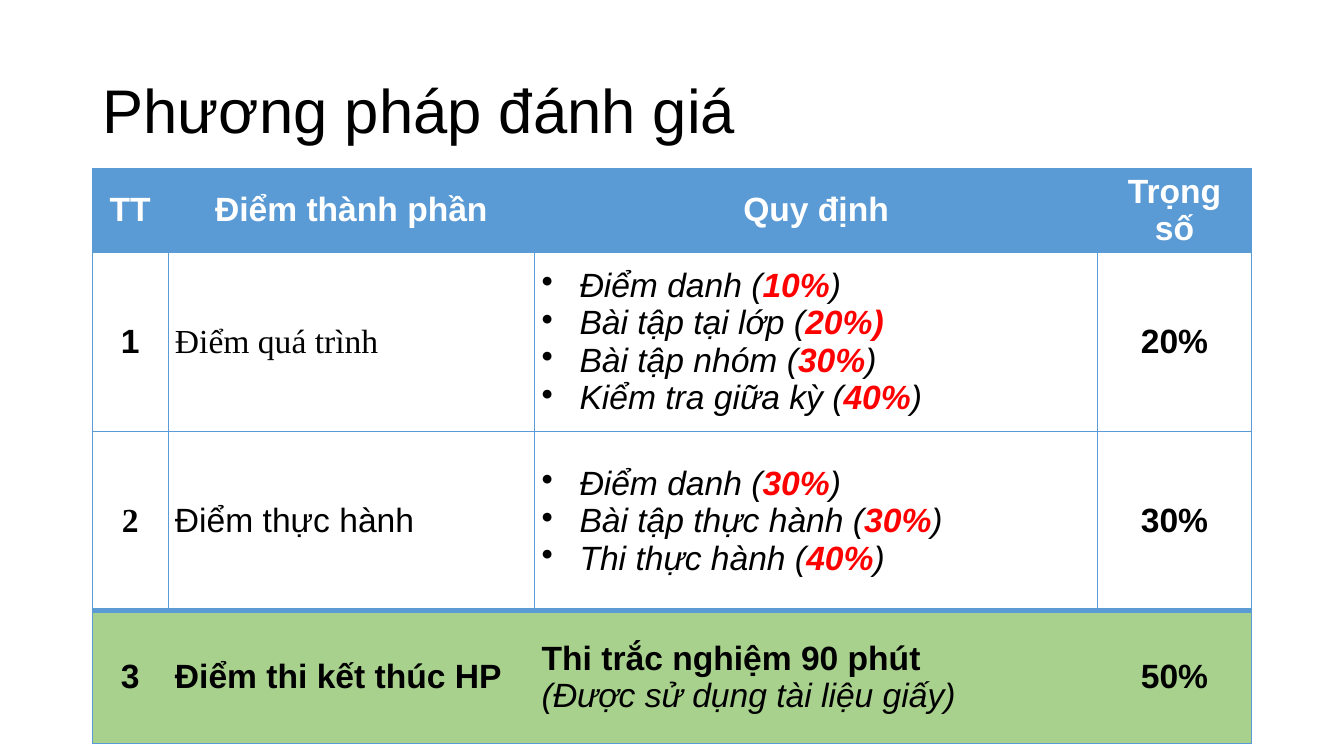
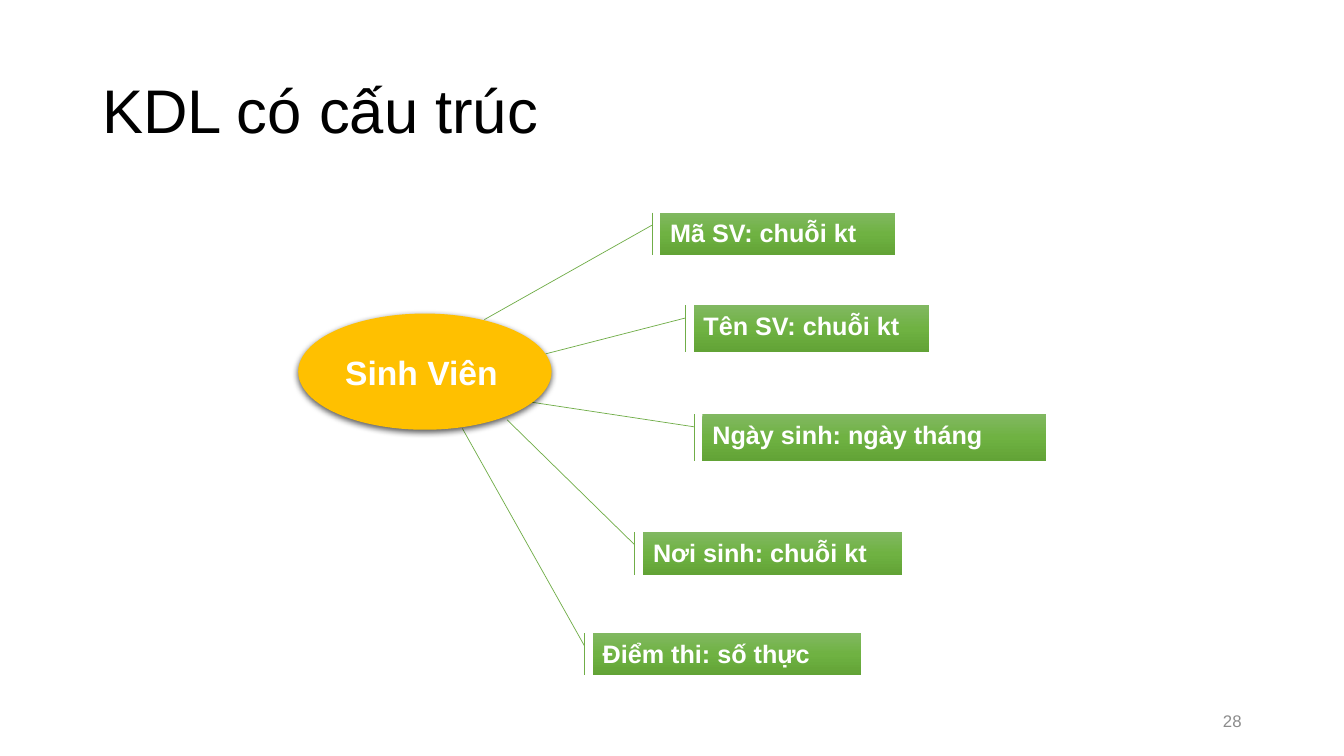
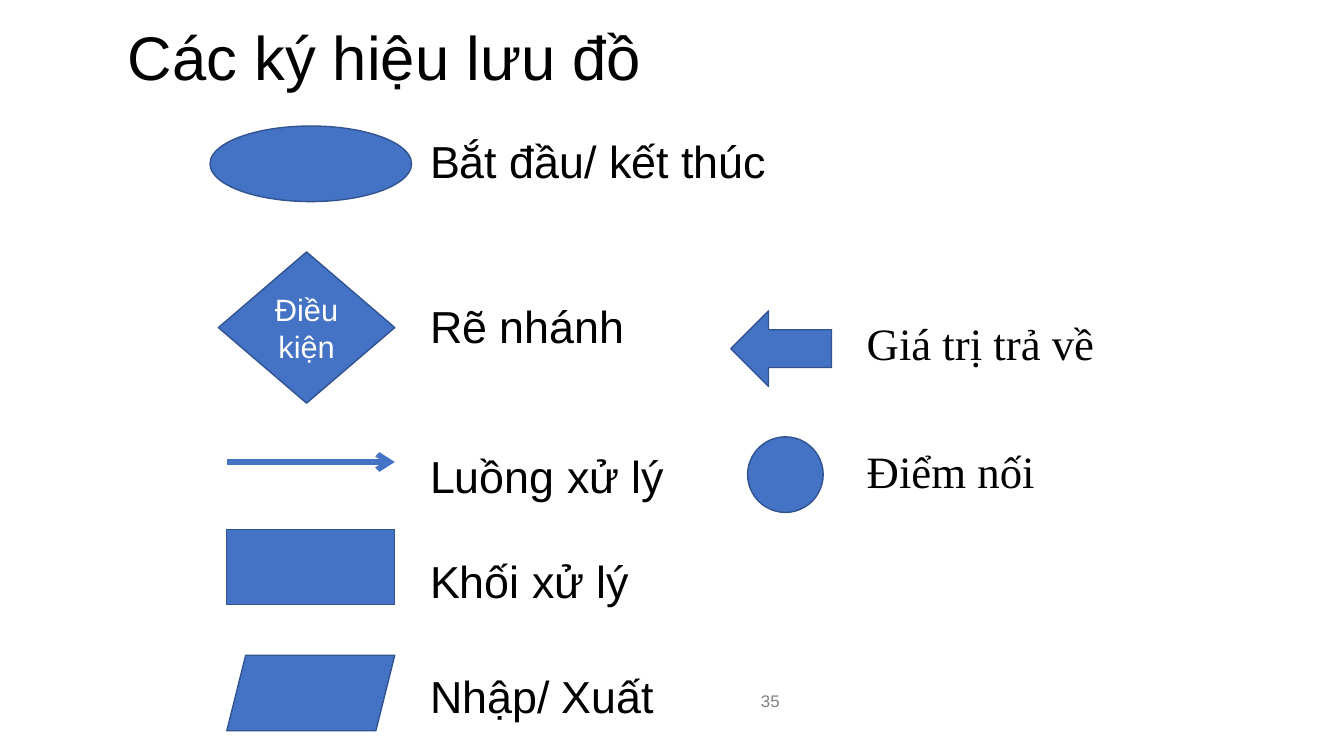
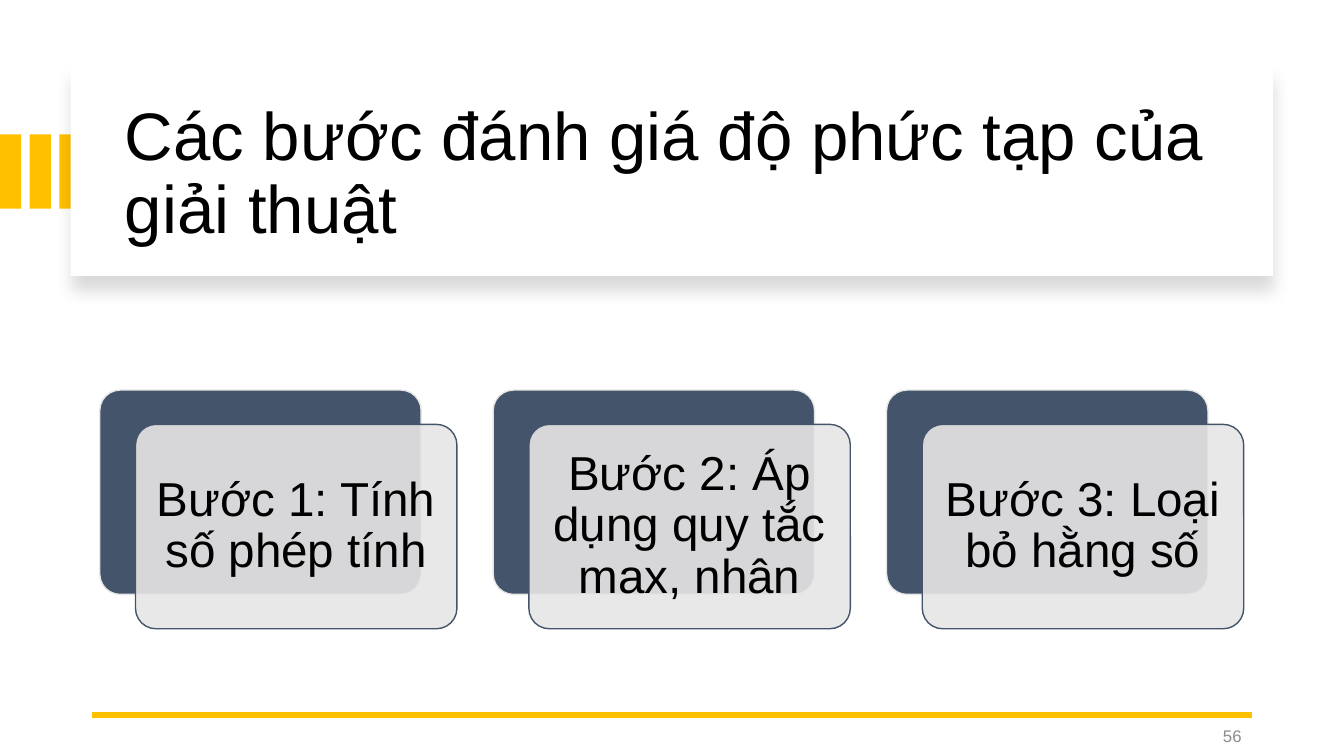
"""Build four lecture slides on data structures and algorithms."""
import copy
import dataclasses
import typing

import lxml.etree
import pptx
import pptx.dml.color
import pptx.enum.dml
import pptx.enum.shapes
import pptx.enum.text
import pptx.oxml.ns
import pptx.util

Pt = pptx.util.Pt
RGBColor = pptx.dml.color.RGBColor
Preset = pptx.enum.shapes.MSO_SHAPE
Align = pptx.enum.text.PP_ALIGN
Anchor = pptx.enum.text.MSO_ANCHOR
qn = pptx.oxml.ns.qn

BLACK = RGBColor(0x00, 0x00, 0x00)
WHITE = RGBColor(0xFF, 0xFF, 0xFF)
RED = RGBColor(0xFF, 0x00, 0x00)
GOLD = RGBColor(0xFF, 0xC0, 0x00)
GRAY = RGBColor(0x8C, 0x8C, 0x8C)
DARK_GRAY = RGBColor(0x7F, 0x7F, 0x7F)
SKY = RGBColor(0x5B, 0x9B, 0xD5)
LEAF = RGBColor(0xA9, 0xD1, 0x8E)
GREEN = RGBColor(0x70, 0xAD, 0x47)
GREEN_STOPS = (RGBColor(0x81, 0xB8, 0x61), RGBColor(0x6F, 0xB2, 0x42), RGBColor(0x62, 0xA3, 0x36))
BLUE = RGBColor(0x44, 0x72, 0xC4)
NAVY = RGBColor(0x32, 0x54, 0x91)
SLATE = RGBColor(0x44, 0x54, 0x6A)
SILVER = RGBColor(0xE7, 0xE6, 0xE6)
SANS = "Arial"
SERIF = "Times New Roman"


class Box(typing.NamedTuple):
    """Left, top, width and height in points."""

    left: float
    top: float
    width: float
    height: float

    def lengths(self) -> list:
        """Return the four values as lengths."""
        return [Pt(value) for value in self]


@dataclasses.dataclass(frozen=True)
class Style:
    """Character formatting of a paragraph or a run."""

    size: float
    color: RGBColor = BLACK
    bold: bool = False
    italic: bool = False
    name: str = SANS


@dataclasses.dataclass(frozen=True)
class Cell:
    """Lines of a table cell, each a tuple of spans."""

    lines: tuple
    style: Style
    align: Align = Align.CENTER
    bullets: bool = False


@dataclasses.dataclass(frozen=True)
class Callout:
    """A labelled box and the point its leader reaches."""

    text: str
    box: Box
    target: tuple


@dataclasses.dataclass(frozen=True)
class Symbol:
    """A flowchart symbol with its optional caption."""

    preset: Preset
    box: Box
    text: str = ""


TITLE_BOX = Box(66, 28.8, 828, 104.4)
NUMBER_BOX = Box(678, 500.4, 216, 28.8)

CELL = Style(24)
STRONG = Style(24, bold=True)
HEAD = Style(24, WHITE, bold=True)
RULE = Style(24, italic=True)
SHARE = Style(24, RED, bold=True, italic=True)
COLUMNS = (54, 262, 402, 110)
ROWS = (60, 128, 128, 95)


def plain(text: str, style: Style, align: Align = Align.CENTER) -> Cell:
    """Return a cell holding one line of text."""
    return Cell((((text, style),),), style, align)


def rules(*items: tuple) -> Cell:
    """Return a bulleted cell of rules with highlighted shares."""
    lines = tuple(
        tuple((text, style) for text, style in zip(item, (RULE, SHARE, RULE)) if text)
        for item in items
    )
    return Cell(lines, RULE, Align.LEFT, True)


GRADING = (
    tuple(plain(text, HEAD) for text in ("TT", "Điểm thành phần", "Quy định", "Trọng số")),
    (
        plain("1", STRONG),
        plain("Điểm quá trình", Style(24, name=SERIF), Align.JUSTIFY),
        rules(
            ("Điểm danh (", "10%", ")"),
            ("Bài tập tại lớp (", "20%)", ""),
            ("Bài tập nhóm (", "30%", ")"),
            ("Kiểm tra giữa kỳ (", "40%", ")"),
        ),
        plain("20%", STRONG),
    ),
    (
        plain("2", Style(24, bold=True, name=SERIF)),
        plain("Điểm thực hành", CELL, Align.JUSTIFY),
        rules(
            ("Điểm danh (", "30%", ")"),
            ("Bài tập thực hành (", "30%", ")"),
            ("Thi thực hành (", "40%", ")"),
        ),
        plain("30%", STRONG),
    ),
    (
        plain("3", STRONG),
        plain("Điểm thi kết thúc HP", STRONG, Align.JUSTIFY),
        Cell(
            (
                (("Thi trắc nghiệm 90 phút", STRONG),),
                (("(Được sử dụng tài liệu giấy)", RULE),),
            ),
            CELL,
            Align.LEFT,
        ),
        plain("50%", STRONG),
    ),
)

CALLOUTS = (
    Callout("Mã SV: chuỗi kt", Box(471.6, 151.9, 168, 30.2), (346, 228.3)),
    Callout("Tên SV: chuỗi kt", Box(495.4, 218.2, 168, 33.1), (389.7, 252.8)),
    Callout("Ngày sinh: ngày tháng", Box(501.8, 295.9, 245.5, 33.1), (368.5, 285.6)),
    Callout("Nơi sinh: chuỗi kt", Box(459.4, 380.2, 185, 30.2), (362.2, 299.8)),
    Callout("Điểm thi: số thực", Box(423.4, 452.2, 191.5, 30.2), (330.3, 306)),
)

SYMBOLS = (
    Symbol(Preset.OVAL, Box(150, 90, 144, 54)),
    Symbol(Preset.DIAMOND, Box(156, 180, 126, 108), "Điều kiện"),
    Symbol(Preset.RECTANGLE, Box(162, 378, 120, 54)),
    Symbol(Preset.PARALLELOGRAM, Box(162, 468, 120, 54)),
    Symbol(Preset.LEFT_ARROW, Box(522, 222, 72, 54)),
    Symbol(Preset.OVAL, Box(534, 312, 54, 54)),
)
MEANINGS = (
    ("Bắt đầu/ kết thúc", 0),
    ("Rẽ nhánh", 83.3),
    ("Luồng xử lý", 72.6),
    ("Khối xử lý", 40.5),
    ("Nhập/ Xuất", 47.6),
)
MORE_MEANINGS = (("Giá trị trả về", 0), ("Điểm nối", 53.2))
STEPS = (
    "Bước 1: Tính số phép tính",
    "Bước 2: Áp dụng quy tắc max, nhân",
    "Bước 3: Loại bỏ hằng số",
)


def set_font(font: typing.Any, style: Style) -> None:
    """Apply a style to a paragraph or run font."""
    font.size = Pt(style.size)
    font.name = style.name
    font.bold = style.bold
    font.italic = style.italic
    font.color.rgb = style.color


def set_para(para: typing.Any, text: str, style: Style, align: Align = Align.LEFT) -> None:
    """Fill a paragraph with evenly formatted text."""
    para.text = text
    para.alignment = align
    set_font(para.font, style)


def set_inset(frame: typing.Any, inset: float) -> None:
    """Set the same margin on all sides of a text frame."""
    frame.margin_left = frame.margin_right = Pt(inset)
    frame.margin_top = frame.margin_bottom = Pt(inset)


def place(shape: typing.Any, box: Box) -> None:
    """Move a shape to a box."""
    shape.left, shape.top, shape.width, shape.height = box.lengths()


def add_page(deck: typing.Any, layout: int, title: str, box: Box = TITLE_BOX, size: float = 44) -> typing.Any:
    """Add a slide with a formatted title."""
    page = deck.slides.add_slide(deck.slide_layouts[layout])
    heading = page.shapes.title
    place(heading, box)
    frame = heading.text_frame
    frame.auto_size = pptx.enum.text.MSO_AUTO_SIZE.NONE
    frame.vertical_anchor = Anchor.MIDDLE
    set_para(frame.paragraphs[0], title, Style(size))
    frame.paragraphs[0].line_spacing = 0.9
    return page


def add_number(page: typing.Any, text: str, box: Box = NUMBER_BOX, color: RGBColor = GRAY) -> None:
    """Add the page number."""
    frame = page.shapes.add_textbox(*box.lengths()).text_frame
    frame.word_wrap = True
    frame.vertical_anchor = Anchor.MIDDLE
    set_para(frame.paragraphs[0], text, Style(12, color), Align.RIGHT)


def add_preset(
    page: typing.Any,
    preset: Preset,
    box: Box,
    fill: RGBColor,
    line: typing.Optional[RGBColor] = None,
    weight: float = 1,
) -> typing.Any:
    """Add a filled preset shape without shadow."""
    shape = page.shapes.add_shape(preset, *box.lengths())
    shape.shadow.inherit = False
    shape.fill.solid()
    shape.fill.fore_color.rgb = fill
    if line is None:
        shape.line.fill.background()
    else:
        shape.line.color.rgb = line
        shape.line.width = Pt(weight)
    return shape


def set_label(shape: typing.Any, text: str, style: Style, align: Align, anchor: Anchor = Anchor.MIDDLE) -> None:
    """Write one paragraph inside a shape."""
    frame = shape.text_frame
    frame.word_wrap = True
    frame.vertical_anchor = anchor
    set_para(frame.paragraphs[0], text, style, align)


def add_shadow(shape: typing.Any, alpha: int, blur: float, distance: float) -> None:
    """Cast a black shadow downwards."""
    effects = shape.element.spPr.find(qn("a:effectLst"))
    shadow = lxml.etree.SubElement(
        effects,
        qn("a:outerShdw"),
        blurRad=str(Pt(blur)),
        dist=str(Pt(distance)),
        dir="5400000",
        algn="t",
        rotWithShape="0",
    )
    color = lxml.etree.SubElement(shadow, qn("a:srgbClr"), val=str(BLACK))
    lxml.etree.SubElement(color, qn("a:alpha"), val=str(alpha * 1000))


def add_line(page: typing.Any, start: tuple, end: tuple, color: RGBColor, weight: float) -> typing.Any:
    """Add a straight line without shadow."""
    line = page.shapes.add_connector(
        pptx.enum.shapes.MSO_CONNECTOR.STRAIGHT, *(Pt(value) for value in start + end)
    )
    line.line.color.rgb = color
    line.line.width = Pt(weight)
    lxml.etree.SubElement(line.element.spPr, qn("a:effectLst"))
    return line


def set_indent(para: typing.Any, indent: float, bullet: str = "") -> None:
    """Give a paragraph a hanging indent and an optional bullet."""
    props = para._p.get_or_add_pPr()
    props.set("marL", str(Pt(indent)))
    props.set("indent", str(-Pt(indent)))
    mark = lxml.etree.Element(qn("a:buChar" if bullet else "a:buNone"))
    if bullet:
        mark.set("char", bullet)
    default = props.find(qn("a:defRPr"))
    if default is None:
        props.append(mark)
    else:
        default.addprevious(mark)


def set_borders(cell: typing.Any, widths: dict) -> None:
    """Draw the cell borders given by side and width."""
    props = cell._tc.get_or_add_tcPr()
    sides = [side for side in "LRTB" if side in widths]
    for index, side in enumerate(sides):
        border = lxml.etree.Element(qn(f"a:ln{side}"), w=str(Pt(widths[side])))
        fill = lxml.etree.SubElement(border, qn("a:solidFill"))
        lxml.etree.SubElement(fill, qn("a:srgbClr"), val=str(SKY))
        props.insert(index, border)


def border_widths(row: int, column: int) -> dict:
    """Return the border widths of a grading cell."""
    last = len(ROWS) - 1
    widths = dict.fromkeys("LRTB", 0.5)
    if row == last:
        widths["T"] = 4
        if column > 0:
            del widths["L"]
        if column < len(COLUMNS) - 1:
            del widths["R"]
    elif row == last - 1:
        widths["B"] = 4
    return widths


def fill_cell(cell: typing.Any, content: Cell) -> None:
    """Write the content of a table cell."""
    cell.vertical_anchor = Anchor.MIDDLE
    cell.margin_left = cell.margin_right = Pt(5)
    cell.margin_top = cell.margin_bottom = Pt(0)
    frame = cell.text_frame
    for index, spans in enumerate(content.lines):
        para = frame.add_paragraph() if index else frame.paragraphs[0]
        para.alignment = content.align
        set_font(para.font, content.style)
        if content.bullets:
            set_indent(para, 27, "•")
        for text, style in spans:
            span = para.add_run()
            span.text = text
            if style != content.style:
                set_font(span.font, style)


def write_list(frame: typing.Any, items: tuple, style: Style, indent: float, spacing: float) -> None:
    """Write unbulleted list lines with their own gaps."""
    frame.word_wrap = True
    frame.auto_size = pptx.enum.text.MSO_AUTO_SIZE.NONE
    for index, (text, gap) in enumerate(items):
        para = frame.add_paragraph() if index else frame.paragraphs[0]
        set_para(para, text, style)
        para.line_spacing = spacing
        para.space_before = Pt(gap)
        set_indent(para, indent)


def build_grading(deck: typing.Any) -> None:
    """Build the grading table slide."""
    page = add_page(deck, 5, "Phương pháp đánh giá")
    box = Box(66, 120.2, sum(COLUMNS), sum(ROWS))
    table = page.shapes.add_table(len(ROWS), len(COLUMNS), *box.lengths()).table
    table.first_row = table.horz_banding = False
    style = table._tbl.tblPr.find(qn("a:tableStyleId"))
    style.text = "{2D5ABB26-0587-4C30-8999-92F81FD0307C}"
    for column, width in zip(table.columns, COLUMNS):
        column.width = Pt(width)
    fills = (SKY, WHITE, WHITE, LEAF)
    for row, (height, fill, contents) in enumerate(zip(ROWS, fills, GRADING)):
        table.rows[row].height = Pt(height)
        for column, content in enumerate(contents):
            cell = table.cell(row, column)
            fill_cell(cell, content)
            cell.fill.solid()
            cell.fill.fore_color.rgb = fill
            set_borders(cell, border_widths(row, column))


def add_callout(page: typing.Any, callout: Callout) -> None:
    """Add a green callout whose leader ends at its target."""
    box = callout.box
    shape = add_preset(page, Preset.LINE_CALLOUT_1_ACCENT_BAR, box, GREEN, GREEN, 0.5)
    shape.fill.gradient()
    shape.fill.gradient_angle = 270
    stops = shape.element.spPr.find(qn("a:gradFill")).find(qn("a:gsLst"))
    stops.append(copy.deepcopy(stops[-1]))
    for index, (stop, color) in enumerate(zip(shape.fill.gradient_stops, GREEN_STOPS)):
        stop.color.rgb = color
        stop.position = index / 2
    shape.adjustments[0] = 9 / box.height
    shape.adjustments[1] = -6 / box.width
    shape.adjustments[2] = (callout.target[1] - box.top) / box.height
    shape.adjustments[3] = (callout.target[0] - box.left) / box.width
    set_label(shape, callout.text, Style(18, WHITE, bold=True), Align.LEFT, Anchor.TOP)


def build_structure(deck: typing.Any) -> None:
    """Build the structured data type slide."""
    page = add_page(deck, 5, "KDL có cấu trúc")
    add_number(page, "28")
    for callout in CALLOUTS:
        add_callout(page, callout)
    student = add_preset(page, Preset.OVAL, Box(213, 224, 181, 83), GOLD)
    add_shadow(student, 63, 4.5, 1.5)
    set_label(student, "Sinh Viên", Style(24, WHITE, bold=True), Align.LEFT)


def build_symbols(deck: typing.Any) -> None:
    """Build the flowchart symbols slide."""
    page = add_page(deck, 1, "Các ký hiệu lưu đồ", Box(84, 6, 720, 74))
    body = page.placeholders[1]
    place(body, Box(300, 96, 264, 420))
    write_list(body.text_frame, MEANINGS, Style(32), 18, 0.9)
    add_number(page, "35", Box(420, 486, 144, 28.8), DARK_GRAY)
    for symbol in SYMBOLS:
        shape = add_preset(page, symbol.preset, symbol.box, BLUE, NAVY)
        if symbol.text:
            set_label(shape, symbol.text, Style(22, WHITE), Align.CENTER)
    flow = add_line(page, (162, 330), (282, 330), BLUE, 4)
    lxml.etree.SubElement(flow.line._get_or_add_ln(), qn("a:tailEnd"), type="arrow")
    notes = page.shapes.add_textbox(*Box(612, 222, 216, 168).lengths())
    write_list(notes.text_frame, MORE_MEANINGS, Style(32, name=SERIF), 27, 1.0)


def build_steps(deck: typing.Any) -> None:
    """Build the complexity steps slide."""
    title = "Các bước đánh giá độ phức tạp của giải thuật"
    page = add_page(deck, 5, title, Box(82, 64, 801, 122.4), 48)
    for index in range(3):
        add_preset(page, Preset.RECTANGLE, Box(index * 21.2, 96, 15.2, 53), GOLD)
    panel = add_preset(page, Preset.RECTANGLE, Box(50.4, 48.2, 859, 149), WHITE)
    add_shadow(panel, 15, 11, 10)
    panel.element.addnext(page.shapes.title.element)
    add_line(page, (894, 510.5), (66, 510.5), GOLD, 4.5)
    add_number(page, "56", Box(678, 511.2, 216, 28.8))
    for index, text in enumerate(STEPS):
        box = Box(71.3 + index * 281, 278.6, 229.6, 146)
        front = box._replace(left=box.left + 25.5, top=box.top + 24.5)
        back_card = add_preset(page, Preset.ROUNDED_RECTANGLE, box, SLATE, SILVER)
        card = add_preset(page, Preset.ROUNDED_RECTANGLE, front, SILVER, SLATE)
        back_card.adjustments[0] = card.adjustments[0] = 0.1
        color = card.element.spPr.find(qn("a:solidFill"))[0]
        lxml.etree.SubElement(color, qn("a:alpha"), val="90000")
        set_label(card, text, Style(34), Align.CENTER)
        set_inset(card.text_frame, 10)
        card.text_frame.paragraphs[0].line_spacing = 0.9


def main() -> None:
    """Build and save the deck."""
    deck = pptx.Presentation()
    deck.slide_width, deck.slide_height = Pt(960), Pt(540)
    for build in (build_grading, build_structure, build_symbols, build_steps):
        build(deck)
    deck.save("out.pptx")


if __name__ == "__main__":
    main()
